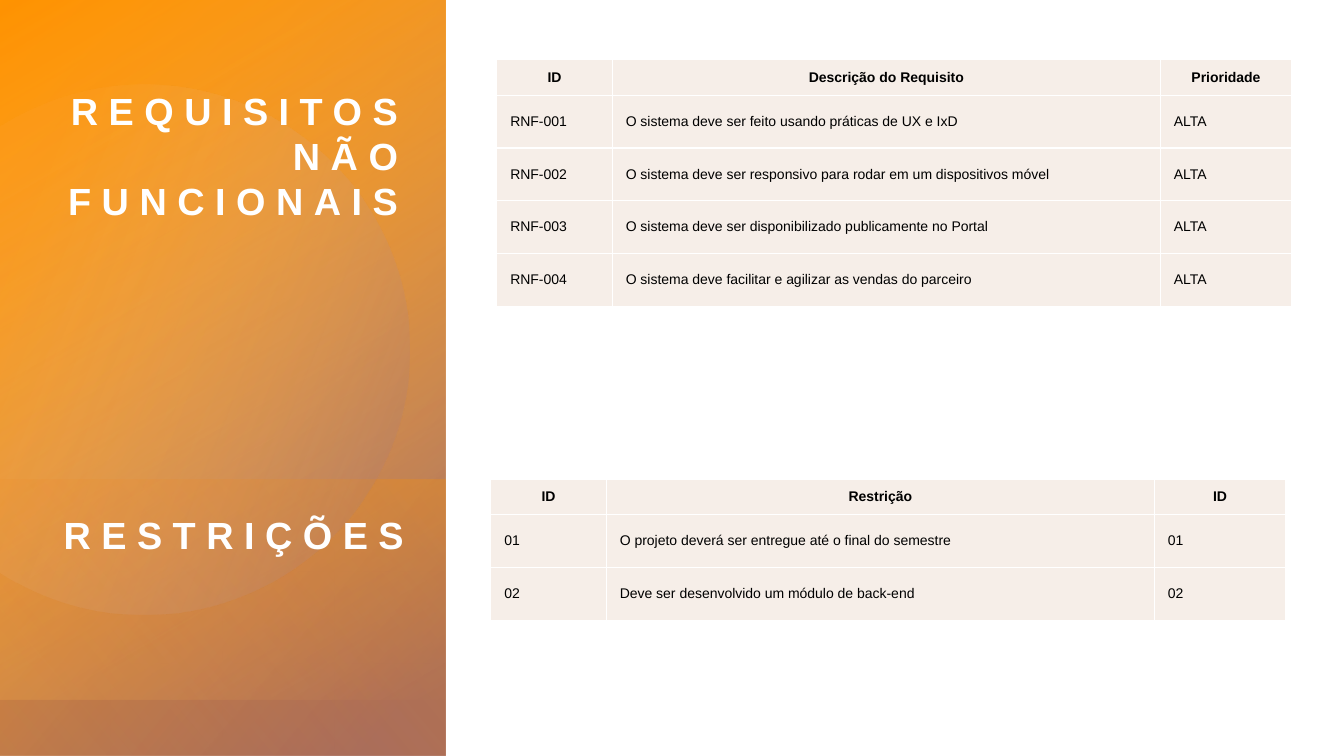
import math
import pptx
import pptx.util
import pptx.dml.color
import pptx.enum.shapes
import pptx.enum.text
import pptx.oxml
import pptx.oxml.ns

Cm, Pt = pptx.util.Cm, pptx.util.Pt
ALIGN = pptx.enum.text.PP_ALIGN
qn = pptx.oxml.ns.qn
NS = pptx.oxml.ns.nsdecls("a")

# Content
TITLE = "REQUISITOS\nNÃO\nFUNCIONAIS"
SUBHEAD = "RESTRIÇÕES"
NEEDS = [
    ("ID", "Descrição do Requisito", "Prioridade"),
    ("RNF-001", "O sistema deve ser feito usando práticas de UX e IxD", "ALTA"),
    ("RNF-002", "O sistema deve ser responsivo para rodar em um dispositivos móvel", "ALTA"),
    ("RNF-003", "O sistema deve ser disponibilizado publicamente no Portal", "ALTA"),
    ("RNF-004", "O sistema deve facilitar e agilizar as vendas do parceiro", "ALTA"),
]
LIMITS = [
    ("ID", "Restrição", "ID"),
    ("01", "O projeto deverá ser entregue até o final do semestre", "01"),
    ("02", "Deve ser desenvolvido um módulo de back-end", "02"),
]

# Layout in cm; gradient stops are (position %, colour, opacity %)
WIDE, HIGH, SIDE = 33.87, 19.05, 11.23
COLS, HEAD, ROW = (2.91, 13.81, 3.31), 0.9, 1.33
PANELS = [  # top, height, angle, stops
    (0, HIGH, 50, [(8, "9C6A6A", 100), (100, "FF9300", 89)]),
    (0, 17.63, 30, [(0, "FFBE66", 0), (99, "FF9300", 92)]),
    (12.09, 6.96, 130, [(2, "FF9300", 28), (100, "EC7016", 0)]),
]
DISC = (3.63, 8.81, 6.68)  # centre x, centre y, radius
GLOW = [(13, "FBE2D0", 2), (100, "9C6A6A", 29)]


def color(code):
    return pptx.dml.color.RGBColor.from_string(code)


def blend(shape, angle, stops):
    shape.shadow.inherit = False
    shape.line.fill.background()
    fill = shape.fill
    fill.gradient()
    fill.gradient_angle = (360 - angle) % 360
    for stop, (place, code, _) in zip(fill.gradient_stops, stops):
        stop.position = place / 100
        stop.color.rgb = color(code)
    tags = shape.element.spPr.iter(qn("a:srgbClr"))
    for tag, (_, _, solid) in zip(tags, stops):
        tag.append(pptx.oxml.parse_xml(f'<a:alpha {NS} val="{solid * 1000}"/>'))


def panel(top, high, angle, stops):
    # Turned a quarter, so width and height swap about the centre
    left = (SIDE - high) / 2
    shape = slide.shapes.add_shape(
        pptx.enum.shapes.MSO_SHAPE.RECTANGLE,
        Cm(left), Cm(top - left), Cm(high), Cm(SIDE))
    shape.rotation = 90
    shape.element.spPr.find(qn("a:xfrm")).set("flipH", "1")
    blend(shape, angle, stops)


def disc(x, y, radius):
    # Circle cut off by the left edge of the slide: straight sides become one arc
    end = math.acos(-x / radius)
    turns = (-end, -math.pi / 2, 0, math.pi / 2, end)
    dots = [(Cm(x + radius * math.cos(t)), Cm(y + radius * math.sin(t))) for t in turns]
    outline = slide.shapes.build_freeform(*dots[0])
    outline.add_line_segments(dots[1:], close=True)
    shape = outline.convert_to_shape()
    sides = list(shape.element.iter(qn("a:lnTo")))
    start = round((360 - math.degrees(end)) * 60000)
    sweep = round(2 * math.degrees(end) * 60000)
    sides[0].addprevious(pptx.oxml.parse_xml(
        f'<a:arcTo {NS} wR="{Cm(radius)}" hR="{Cm(radius)}" '
        f'stAng="{start}" swAng="{sweep}"/>'))
    for side in sides:
        side.getparent().remove(side)
    blend(shape, 21.6, GLOW)


def heading(shape, text, left, top, high):
    shape.left, shape.top, shape.width, shape.height = map(Cm, (left, top, 8.99, high))
    frame = shape.text_frame
    frame.text = text
    frame.auto_size = pptx.enum.text.MSO_AUTO_SIZE.NONE
    frame.word_wrap = True
    frame.vertical_anchor = pptx.enum.text.MSO_ANCHOR.TOP
    frame.margin_left = frame.margin_right = frame.margin_top = frame.margin_bottom = 0
    for para in frame.paragraphs:
        para.alignment = ALIGN.RIGHT
        para.line_spacing = 1.0
        para.space_before = para.space_after = Pt(0)
        font = para.font
        font.name, font.size, font.bold = "Arial", Pt(27), True
        font.color.rgb = color("FFFFFF")
        for run in para.runs:
            run.font._element.set("spc", "750")


def border(cell):
    props = cell._tc.get_or_add_tcPr()
    for i, side in enumerate(("lnL", "lnR", "lnT", "lnB")):
        props.insert(i, pptx.oxml.parse_xml(
            f'<a:{side} {NS} w="12700"><a:solidFill>'
            f'<a:srgbClr val="FFFFFF"/></a:solidFill></a:{side}>'))


def grid(rows, left, top):
    high = HEAD + ROW * (len(rows) - 1)
    table = slide.shapes.add_table(
        len(rows), len(COLS), Cm(left), Cm(top), Cm(sum(COLS)), Cm(high)).table
    for col, wide in zip(table.columns, COLS):
        col.width = Cm(wide)
    for r, row in enumerate(rows):
        table.rows[r].height = Cm(ROW if r else HEAD)
        for c, text in enumerate(row):
            cell = table.cell(r, c)
            cell.fill.solid()
            cell.fill.fore_color.rgb = color("F6EEE8")
            cell.vertical_anchor = pptx.enum.text.MSO_ANCHOR.MIDDLE
            cell.margin_left = cell.margin_right = Cm(0.34)
            cell.margin_top = cell.margin_bottom = Cm(0.15)
            border(cell)
            para = cell.text_frame.paragraphs[0]
            para.text = text
            para.alignment = ALIGN.LEFT if r else ALIGN.CENTER
            font = para.font
            font.name, font.size, font.bold = "Arial", Pt(10), r == 0
            font.color.rgb = color("000000")


deck = pptx.Presentation()
deck.slide_width, deck.slide_height = Cm(WIDE), Cm(HIGH)
slide = deck.slides.add_slide(deck.slide_layouts[5])

# Side panel, with the title raised above it
for item in PANELS:
    panel(*item)
disc(*DISC)
title = slide.shapes.title
slide.shapes._spTree.append(title.element)
heading(title, TITLE, 1.04, 2.2, 3.6)
heading(slide.shapes.add_textbox(0, 0, 0, 0), SUBHEAD, 1.19, 12.9, 1.3)

# Tables
grid(NEEDS, 12.52, 1.5)
grid(LIMITS, 12.37, 12.07)

deck.save("out.pptx")
